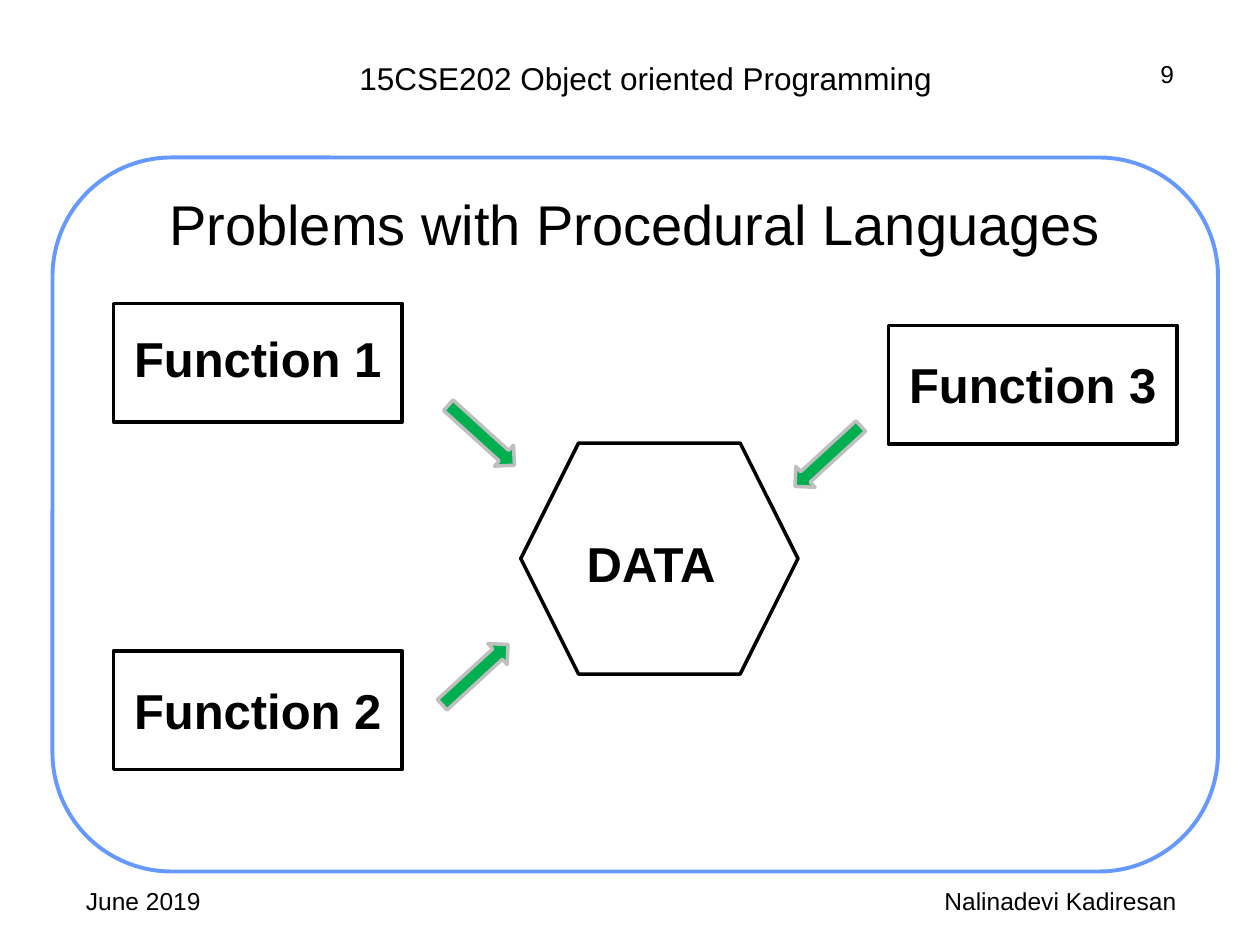
import dataclasses

import pptx
import pptx.dml.color
import pptx.enum.shapes
import pptx.enum.text
import pptx.util

SHAPE = pptx.enum.shapes.MSO_SHAPE
ALIGN = pptx.enum.text.PP_ALIGN
ANCHOR = pptx.enum.text.MSO_ANCHOR
AUTO_SIZE = pptx.enum.text.MSO_AUTO_SIZE


@dataclasses.dataclass(frozen=True)
class Theme:
    font: str = "Arial"
    ink: str = "000000"
    paper: str = "FFFFFF"
    frame: str = "6699FF"
    arrow: str = "00B050"
    arrow_edge: str = "BFBFBF"
    title_size: int = 32
    label_size: int = 28
    course_size: int = 18
    footer_size: int = 14
    frame_width: float = 2.25
    line_width: float = 2


class SlideBuilder:
    COLUMNS = 120
    ROWS = 90

    def __init__(self, deck, theme):
        self.theme = theme
        self.column = deck.slide_width / self.COLUMNS
        self.row = deck.slide_height / self.ROWS
        self.slide = deck.slides.add_slide(deck.slide_layouts[5])

    def area(self, left, top, width, height):
        return (round(left * self.column), round(top * self.row),
                round(width * self.column), round(height * self.row))

    def color(self, value):
        return pptx.dml.color.RGBColor.from_string(value)

    def set_text(self, frame, text, size, align, bold=False):
        frame.word_wrap = True
        frame.auto_size = AUTO_SIZE.NONE
        frame.text = text
        paragraph = frame.paragraphs[0]
        paragraph.alignment = align
        paragraph.font.name = self.theme.font
        paragraph.font.size = pptx.util.Pt(size)
        paragraph.font.bold = bold
        paragraph.font.color.rgb = self.color(self.theme.ink)

    def title(self, text, cells):
        heading = self.slide.shapes.title
        heading.left, heading.top, heading.width, heading.height = self.area(*cells)
        heading.text_frame.vertical_anchor = ANCHOR.MIDDLE
        self.set_text(heading.text_frame, text, self.theme.title_size, ALIGN.CENTER)
        self.slide.shapes._spTree.append(heading._element)

    def text(self, text, cells, size, align=ALIGN.CENTER, bold=False):
        box = self.slide.shapes.add_textbox(*self.area(*cells))
        self.set_text(box.text_frame, text, size, align, bold)

    def label(self, text, cells):
        self.text(text, cells, self.theme.label_size, bold=True)

    def shape(self, kind, cells, line=None, width=None, fill=None):
        outline = self.slide.shapes.add_shape(kind, *self.area(*cells))
        outline.shadow.inherit = False
        if fill:
            outline.fill.solid()
            outline.fill.fore_color.rgb = self.color(fill)
        else:
            outline.fill.background()
        outline.line.color.rgb = self.color(line or self.theme.ink)
        outline.line.width = pptx.util.Pt(width or self.theme.line_width)
        return outline

    def arrow(self, left, top, rotation):
        pointer = self.shape(SHAPE.RIGHT_ARROW, (left, top, 8.5, 2.7),
                             self.theme.arrow_edge, fill=self.theme.arrow)
        pointer.rotation = rotation


def main():
    deck = pptx.Presentation()
    deck.slide_width = pptx.util.Inches(10)
    deck.slide_height = pptx.util.Inches(7.5)
    theme = Theme()
    page = SlideBuilder(deck, theme)

    page.shape(SHAPE.ROUNDED_RECTANGLE, (5, 15, 111, 68),
               theme.frame, theme.frame_width, theme.paper)
    page.text("15CSE202 Object oriented Programming", (17, 5, 89, 4.8), theme.course_size)
    page.title("Problems with Procedural Languages", (13, 16, 95, 10.5))

    functions = [
        ("Function 1", 10.8, 28.9, 1.8),
        ("Function 2", 10.8, 62, 2.2),
        ("Function 3", 84.6, 31, 2.2),
    ]
    for name, left, top, label_drop in functions:
        page.shape(SHAPE.RECTANGLE, (left, top, 27.5, 11.3))
        page.label(name, (left, top + label_drop, 27.5, 6.8))

    data = page.shape(SHAPE.HEXAGON, (49.6, 42.2, 26.4, 22))
    data.adjustments[0] = 0.25
    page.label("DATA", (49.2, 50.2, 25.6, 6.8))

    for left, top, rotation in [(41.6, 40.1, 42.2), (41, 62.9, 317.5), (74.6, 42.1, 137.5)]:
        page.arrow(left, top, rotation)

    for text, cells, align in [
        ("June 2019", (7, 83.8, 28, 6.2), ALIGN.LEFT),
        ("9", (92, 5, 21, 6.2), ALIGN.RIGHT),
        ("Nalinadevi Kadiresan", (82, 83.8, 38, 6.2), ALIGN.CENTER),
    ]:
        page.text(text, cells, theme.footer_size, align)

    deck.save("out.pptx")


if __name__ == "__main__":
    main()
